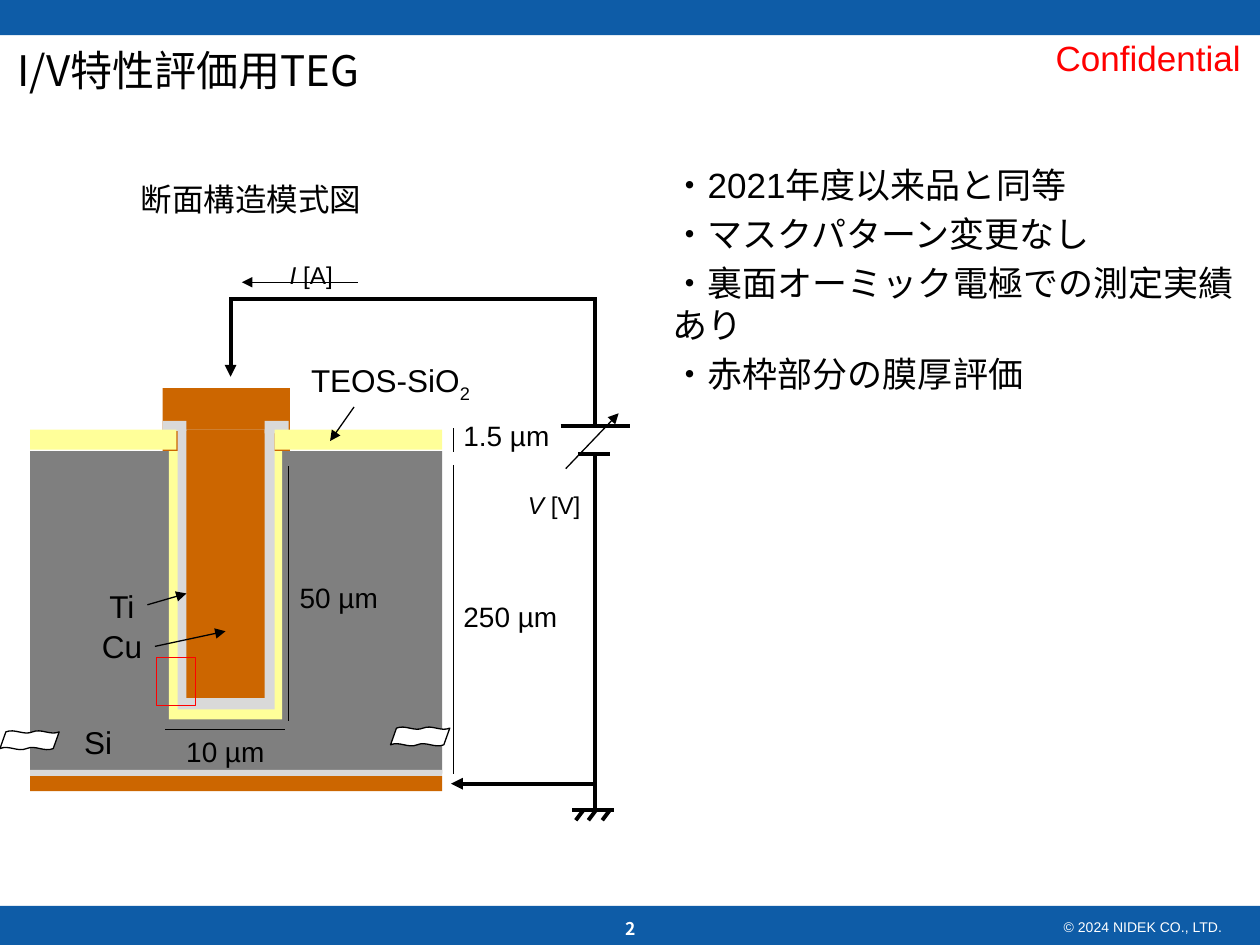
from lxml import etree
from pptx import Presentation
from pptx import util as u
from pptx.dml.color import RGBColor
from pptx.enum import shapes, text
from pptx.oxml.ns import qn

BLUE = RGBColor(0x0E, 0x5C, 0xA7)
WHITE = RGBColor(0xFF, 0xFF, 0xFF)
BLACK = RGBColor(0, 0, 0)
RED = RGBColor(0xFF, 0, 0)
COPPER = RGBColor(0xCC, 0x66, 0)
SILICON = RGBColor(0x7F, 0x7F, 0x7F)
OXIDE = RGBColor(0xFF, 0xFF, 0x99)
TITANIUM = RGBColor(0xD9, 0xD9, 0xD9)
SANS, CJK = "Arial", "Noto Sans CJK JP"
RECT, WAVE = shapes.MSO_SHAPE.RECTANGLE, shapes.MSO_SHAPE.DOUBLE_WAVE
THIN, THICK = 0.75, 2.25

TITLE = "I/V特性評価用TEG"
POINTS = ["・2021年度以来品と同等", "・マスクパターン変更なし",
          "・裏面オーミック電極での測定実績あり", "・赤枠部分の膜厚評価"]

# Filled areas, back to front: left, top, width, height, colour
BARS = [(0, 7.19, 10, 0.31, BLUE), (0, 0, 10, 0.28, BLUE)]
LAYERS = [
    (1.29, 3.08, 1.01, 0.51, COPPER),    # electrode head
    (0.24, 3.58, 3.27, 2.56, SILICON),   # substrate
    (1.34, 3.58, 0.9, 2.13, OXIDE),      # via liner
    (1.41, 3.41, 0.77, 2.22, TITANIUM),  # via barrier
    (1.48, 3.41, 0.62, 2.13, COPPER),    # via core
    (2.1, 3.34, 0.19, 0.1, TITANIUM),
    (1.29, 3.34, 0.19, 0.08, TITANIUM),
    (2.18, 3.41, 1.33, 0.16, OXIDE),
    (0.24, 3.41, 1.16, 0.16, OXIDE),
    (0.24, 6.11, 3.27, 0.05, TITANIUM),  # back electrode
    (0.24, 6.16, 3.27, 0.12, COPPER),
]
BREAKS = [(0, 5.8), (3.1, 5.77)]

# Lines: x1, y1, x2, y2
WIRE_X, GROUND_Y = 4.72, 6.43
WIRES = [
    (WIRE_X, 2.37, 1.85, 2.37),
    (WIRE_X, 2.36, WIRE_X, 3.38),
    (WIRE_X, 3.6, WIRE_X, GROUND_Y),
    (4.45, 3.38, 5, 3.38),               # source plates
    (4.59, 3.6, 4.84, 3.6),
    (4.54, GROUND_Y, 4.87, GROUND_Y),    # ground
] + [(x, GROUND_Y, x - 0.06, 6.51) for x in (4.63, 4.73, 4.84)]
WIRE_ARROWS = [(4.73, 6.22, 3.58, 6.22), (1.83, 2.36, 1.83, 2.99)]
DIMENSIONS = [(3.6, 3.69, 3.6, 6.14), (2.29, 3.7, 2.29, 5.72),
              (2.26, 5.79, 1.31, 5.79), (3.6, 3.4, 3.6, 3.59)]
POINTERS = [(4.49, 3.72, 4.91, 3.28), (2.84, 2.24, 1.92, 2.24),
            (2.81, 3.23, 2.62, 3.5), (1.17, 4.8, 1.48, 4.71),
            (1.23, 5.13, 1.79, 5.01)]

# Labels: left, top, width, height, size, runs of (text, italic, lowered)
LABELS = [
    (4.09, 3.62, 0.75, 0.37, 24, [("V ", True, True), ("[V]", False, True)]),
    (2.2, 1.79, 0.67, 0.37, 24, [("I ", True, True), ("[A]", False, True)]),
    (2.37, 2.82, 1.49, 0.4, 18, [("TEOS-SiO", False, False), ("2", False, True)]),
] + [(*box, size, [(words, False, False)]) for *box, size, words in [
    (3.58, 4.71, 0.95, 0.37, 16, "250 µm"),
    (2.28, 4.56, 0.83, 0.37, 16, "50 µm"),
    (1.38, 5.78, 0.83, 0.37, 16, "10 µm"),
    (3.58, 3.27, 0.89, 0.37, 16, "1.5 µm"),
    (0.77, 4.61, 0.4, 0.4, 18, "Ti"),
    (0.71, 4.93, 0.52, 0.4, 18, "Cu"),
    (0.57, 5.69, 0.43, 0.4, 18, "Si"),
    (1.02, 1.38, 1.97, 0.4, 18, "断面構造模式図"),
]]


def inches(*values):
    return [u.Inches(v) for v in values]


def add_area(s, box, fill=None, line=None, kind=RECT):
    sp = s.shapes.add_shape(kind, *inches(*box))
    sp.shadow.inherit = False
    if fill is None:
        sp.fill.background()
    else:
        sp.fill.solid()
        sp.fill.fore_color.rgb = fill
    if line is None:
        sp.line.fill.background()
    else:
        sp.line.color.rgb = line
        sp.line.width = u.Pt(THIN)
    return sp


def add_line(s, ends, width, arrow=False):
    sp = s.shapes.add_connector(shapes.MSO_CONNECTOR.STRAIGHT, *inches(*ends))
    sp.line.color.rgb = BLACK
    sp.line.width = u.Pt(width)
    if arrow:
        etree.SubElement(sp.line._get_or_add_ln(), qn("a:tailEnd"), type="triangle")
    etree.SubElement(sp._element.spPr, qn("a:effectLst"))


def style_run(r, size, color=BLACK, font=SANS, bold=False, italic=False):
    f = r.font
    f.size, f.name, f.bold, f.italic = u.Pt(size), font, bold, italic
    f.color.rgb = color
    ea = etree.SubElement(r._r.get_or_add_rPr(), qn("a:ea"))
    ea.set("typeface", CJK)


def add_text(s, box, lines, size, color=BLACK, font=SANS, bold=False,
             align=text.PP_ALIGN.LEFT, margin_y=0.05):
    tf = s.shapes.add_textbox(*inches(*box)).text_frame
    tf.word_wrap = True
    tf.margin_top = tf.margin_bottom = u.Inches(margin_y)
    tf.text = "\n".join(lines)
    for i, p in enumerate(tf.paragraphs):
        p.alignment = align
        p.space_before = u.Pt(0.2 * size if i else 0)
        style_run(p.runs[0], size, color, font, bold)
    return tf


def add_label(s, left, top, width, height, size, runs):
    tf = s.shapes.add_textbox(*inches(left, top, width, height)).text_frame
    tf.word_wrap = False
    for words, italic, lowered in runs:
        r = tf.paragraphs[0].add_run()
        r.text = words
        style_run(r, size, italic=italic)
        if lowered:
            r._r.get_or_add_rPr().set("baseline", "-25000")


def main():
    prs = Presentation()
    prs.slide_width, prs.slide_height = inches(10, 7.5)
    s = prs.slides.add_slide(prs.slide_layouts[5])

    # Title
    title = s.shapes.title
    title.left, title.top, title.width, title.height = inches(0.04, 0.3, 7.12, 0.5)
    tf = title.text_frame
    tf.text = TITLE
    tf.auto_size = text.MSO_AUTO_SIZE.NONE
    tf.vertical_anchor = text.MSO_ANCHOR.TOP
    tf.paragraphs[0].alignment = text.PP_ALIGN.LEFT
    style_run(tf.paragraphs[0].runs[0], 24, font=CJK)

    # Header and footer
    for *box, color in BARS:
        add_area(s, box, color)
    add_text(s, (6.37, 7.24, 3.43, 0.21), ["© 2024 NIDEK CO., LTD."], 8, WHITE,
             align=text.PP_ALIGN.RIGHT)
    number = add_text(s, (3.88, 7.28, 2.25, 0.18), ["2"], 10, WHITE, CJK, True,
                      text.PP_ALIGN.CENTER, 0)
    number.vertical_anchor = text.MSO_ANCHOR.MIDDLE
    add_text(s, (8.28, 0.24, 1.68, 0.44), ["Confidential"], 20, RED)

    # Cross section
    for *box, color in LAYERS:
        add_area(s, box, color)
    for left, top in BREAKS:
        wave = add_area(s, (left, top, 0.47, 0.15), WHITE, BLACK, WAVE)
        wave.adjustments[0], wave.adjustments[1] = 0.06, -0.05

    # Circuit, dimensions and pointers
    for lines, width, arrow in [(WIRES, THICK, False), (WIRE_ARROWS, THICK, True),
                                (DIMENSIONS, THIN, False), (POINTERS, THIN, True)]:
        for ends in lines:
            add_line(s, ends, width, arrow)
    for label in LABELS:
        add_label(s, *label)

    # Evaluated region and remarks
    add_area(s, (1.24, 5.22, 0.31, 0.38), line=RED)
    add_text(s, (5.24, 1.25, 4.73, 1.65), POINTS, 20)

    prs.save("out.pptx")


if __name__ == "__main__":
    main()
